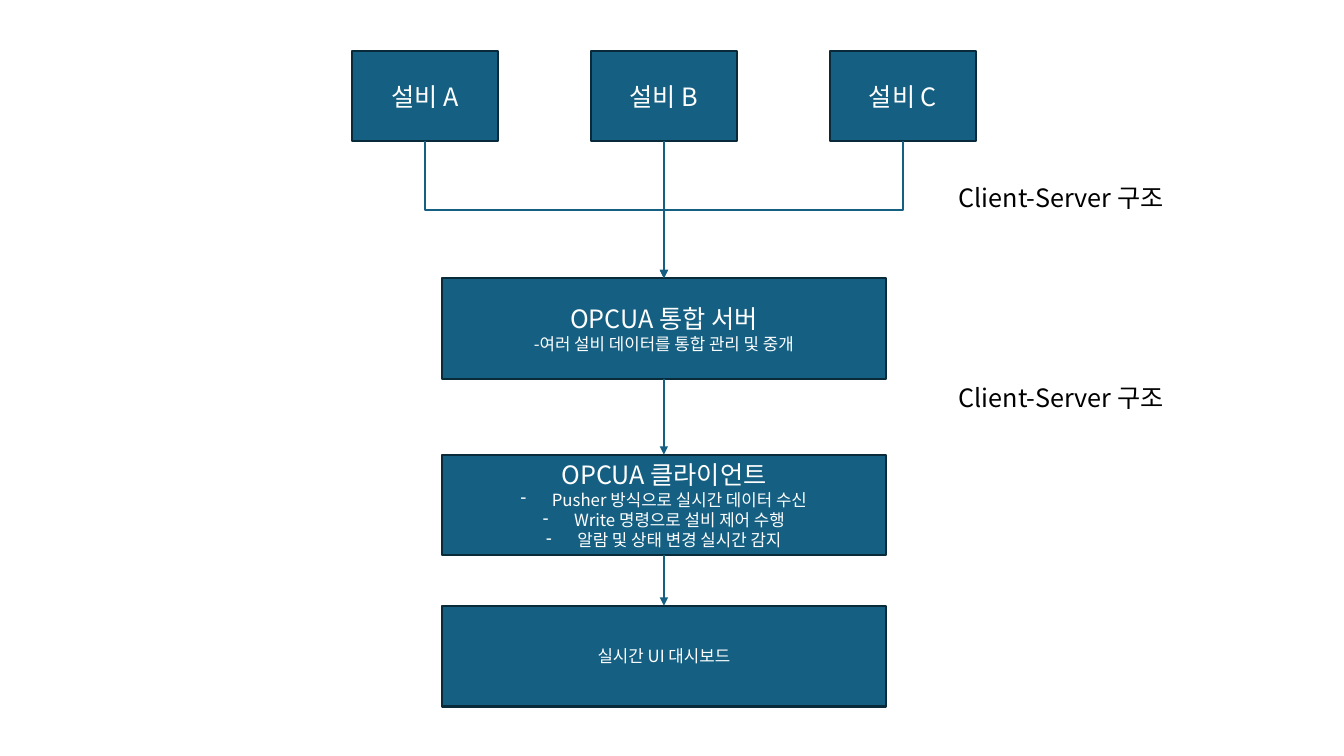
from lxml.etree import SubElement
from pptx import Presentation
from pptx.dml.color import RGBColor
from pptx.enum.shapes import MSO_CONNECTOR as Link, MSO_SHAPE as Shape
from pptx.enum.text import MSO_ANCHOR as Anchor, MSO_AUTO_SIZE as AutoSize, PP_ALIGN as Align
from pptx.oxml.ns import qn
from pptx.util import Inches, Pt

FONT = "Noto Sans CJK KR"
BLUE, EDGE, WHITE, BLACK = "156082", "092A39", "FFFFFF", "000000"
BOTTOM, TOP = 2, 0


def color(value):
    """Turn a hex string into a colour."""
    return RGBColor.from_string(value)


def add_text(frame, text, first=False, size=18, ink=WHITE, align=Align.CENTER, dash=False):
    """Write one paragraph into a text frame."""
    para = frame.paragraphs[0] if first else frame.add_paragraph()
    para.alignment = align
    span = para.add_run()
    span.text = text
    span.font.size = Pt(size)
    span.font.name = FONT
    span.font.color.rgb = color(ink)
    SubElement(span.font._element, qn("a:ea")).set("typeface", FONT)
    if dash:
        props = para._p.get_or_add_pPr()
        props.set("marL", str(Inches(0.31)))
        props.set("indent", str(-Inches(0.31)))
        SubElement(props, qn("a:buChar")).set("char", "-")


def add_box(page, left, top, width, height, title=None, details=(), dash=False):
    """Draw a blue box with a title and smaller detail lines."""
    box = page.shapes.add_shape(
        Shape.RECTANGLE, Inches(left), Inches(top), Inches(width), Inches(height))
    box.shadow.inherit = False
    box.fill.solid()
    box.fill.fore_color.rgb = color(BLUE)
    box.line.color.rgb = color(EDGE)
    box.line.width = Pt(1.5)
    frame = box.text_frame
    frame.word_wrap = True
    frame.vertical_anchor = Anchor.MIDDLE
    if title:
        add_text(frame, title, first=True)
    for index, detail in enumerate(details):
        add_text(frame, detail, first=not title and index == 0, size=12, dash=dash)
    return box


def add_arrow(page, upper, lower):
    """Join the bottom of one box to the top of another, bending when they are offset."""
    offset = (lower.left + lower.width // 2) - (upper.left + upper.width // 2)
    bent = abs(offset) > Inches(0.05)
    arrow = page.shapes.add_connector(Link.ELBOW if bent else Link.STRAIGHT, 0, 0, 0, 0)
    arrow.begin_connect(upper, BOTTOM)
    arrow.end_connect(lower, TOP)
    arrow.line.color.rgb = color(BLUE)
    arrow.line.width = Pt(1.5)
    SubElement(arrow.line._get_or_add_ln(), qn("a:tailEnd")).set("type", "triangle")
    props = arrow._element.spPr
    SubElement(props, qn("a:effectLst"))
    if bent:
        turn_downward(arrow, props.find(qn("a:xfrm")), offset > 0)


def turn_downward(arrow, frame, rightward):
    """Rotate an elbow so that it leaves and arrives vertically."""
    across, down = arrow.width, arrow.height
    middle_x, middle_y = arrow.left + across // 2, arrow.top + down // 2
    arrow.left, arrow.top = middle_x - down // 2, middle_y - across // 2
    arrow.width, arrow.height = down, across
    frame.set("rot", "16200000" if rightward else "5400000")
    frame.set("flipH", "1" if rightward else "0")
    frame.set("flipV", "0")


def add_equipment(page, left, top, pitch):
    """Place the row of equipment boxes."""
    return [add_box(page, left + pitch * index, top, 1.45, 0.89, f"설비 {letter}")
            for index, letter in enumerate("ABC")]


def add_stages(page, left, top, width):
    """Stack the server, client and dashboard boxes and join them."""
    server = add_box(page, left, top, width, 1, "OPCUA 통합 서버",
                     ["-여러 설비 데이터를 통합 관리 및 중개"])
    client = add_box(page, left, top + 1.75, width, 1, "OPCUA 클라이언트",
                     ["Pusher 방식으로 실시간 데이터 수신",
                      "Write 명령으로 설비 제어 수행",
                      "알람 및 상태 변경 실시간 감지"], dash=True)
    dashboard = add_box(page, left, top + 3.25, width, 1, details=["실시간 UI 대시보드"])
    add_arrow(page, server, client)
    add_arrow(page, client, dashboard)
    return server


def add_label(page, left, top, text):
    """Place a label beside the flow."""
    box = page.shapes.add_textbox(Inches(left), Inches(top), Inches(2.37), Inches(0.4))
    box.text_frame.word_wrap = True
    box.text_frame.auto_size = AutoSize.SHAPE_TO_FIT_TEXT
    add_text(box.text_frame, text, first=True, ink=BLACK, align=Align.LEFT)


def main():
    """Build the architecture slide."""
    deck = Presentation()
    deck.slide_width, deck.slide_height = Inches(13.33), Inches(7.5)
    page = deck.slides.add_slide(deck.slide_layouts[6])
    equipment = add_equipment(page, 3.49, 0.51, 2.37)
    server = add_stages(page, 4.38, 2.76, 4.41)
    for machine in equipment:
        add_arrow(page, machine, server)
    for top in (1.76, 3.74):
        add_label(page, 9.41, top, "Client-Server 구조")
    deck.save("out.pptx")


if __name__ == "__main__":
    main()
